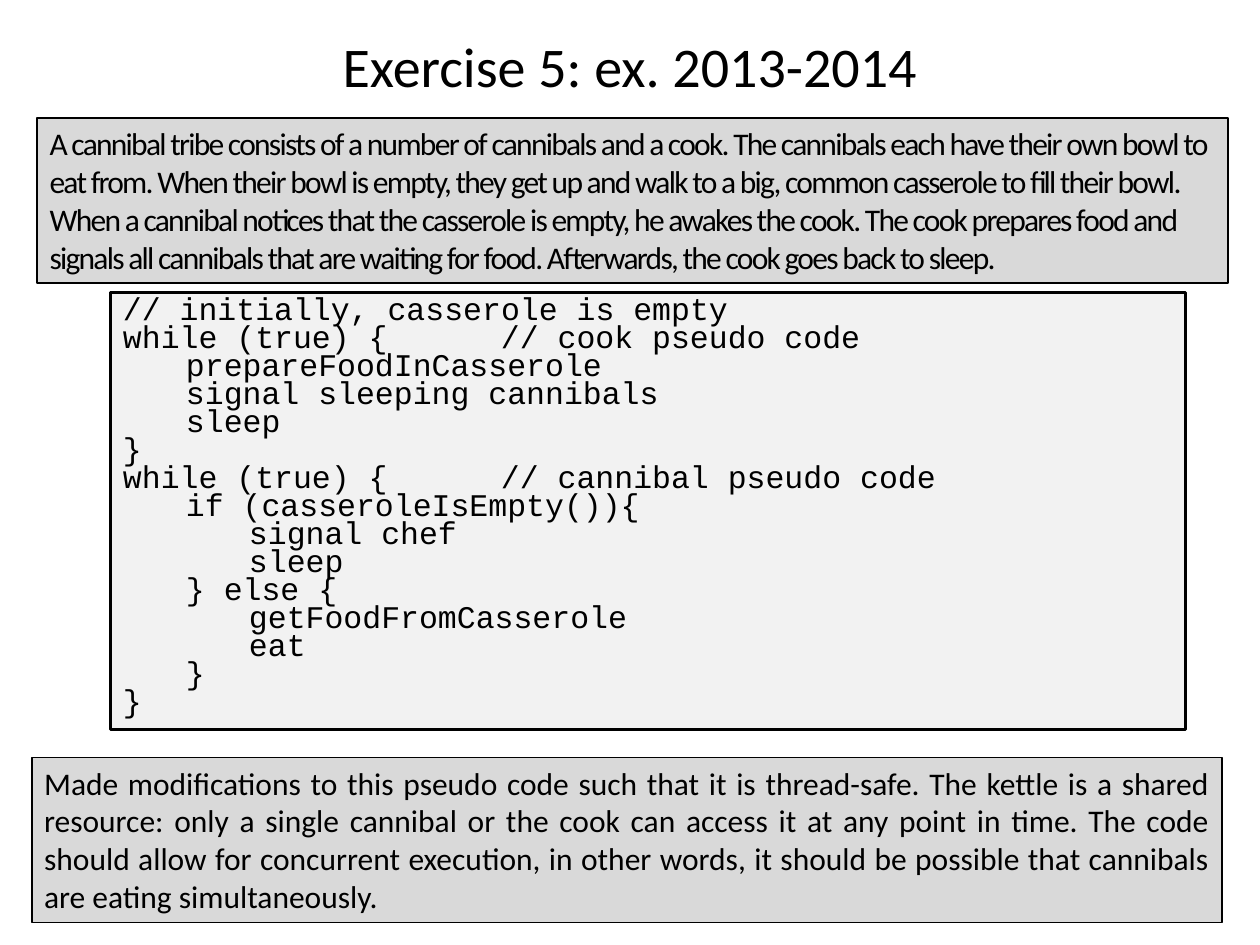
import pptx
import pptx.util
import pptx.dml.color
import pptx.enum.shapes
import pptx.enum.text

Cm, Pt = pptx.util.Cm, pptx.util.Pt
Align = pptx.enum.text.PP_ALIGN
Fit = pptx.enum.text.MSO_AUTO_SIZE

TITLE = "Exercise 5: ex. 2013-2014"
STORY = (
    "A cannibal tribe consists of a number of cannibals and a cook. "
    "The cannibals each have their own bowl to eat from. "
    "When their bowl is empty, they get up and walk to a big, common casserole to fill their bowl. "
    "When a cannibal notices that the casserole is empty, he awakes the cook. "
    "The cook prepares food and signals all cannibals that are waiting for food. "
    "Afterwards, the cook goes back to sleep."
)
CODE = [
    (0, "// initially, casserole is empty"),
    (0, "while (true) {\t\t// cook pseudo code"),
    (1, "prepareFoodInCasserole"),
    (1, "signal sleeping cannibals"),
    (1, "sleep"),
    (0, "}"),
    (0, "while (true) {\t\t// cannibal pseudo code"),
    (1, "if (casseroleIsEmpty()){"),
    (2, "signal chef"),
    (2, "sleep"),
    (1, "} else {"),
    (2, "getFoodFromCasserole"),
    (2, "eat"),
    (1, "}"),
    (0, "}"),
]
TASK = (
    "Made modifications to this pseudo code such that it is thread-safe. "
    "The kettle is a shared resource: only a single cannibal or the cook can access it at any point in time. "
    "The code should allow for concurrent execution, in other words, "
    "it should be possible that cannibals are eating simultaneously."
)
INK, GREY, PALE = "000000", "D9D9D9", "F2F2F2"


def color(code):
    return pptx.dml.color.RGBColor.from_string(code)


def write(frame, lines, align, size=18, font="Calibri", lead=None, track=None):
    frame.word_wrap = True
    for i, line in enumerate(lines):
        par = frame.add_paragraph() if i else frame.paragraphs[0]
        par.alignment = align
        if lead:
            par.line_spacing = Pt(lead)
        run = par.add_run()
        run.text = line
        run.font.size = Pt(size)
        run.font.name = font
        run.font.color.rgb = color(INK)
        if track:
            run.font._element.set("spc", str(track * 100))


def panel(spot, fill, edge, lines, align, **style):
    box = slide.shapes.add_shape(
        pptx.enum.shapes.MSO_SHAPE.RECTANGLE, *map(Cm, spot))
    box.shadow.inherit = False
    box.fill.solid()
    box.fill.fore_color.rgb = color(fill)
    box.line.color.rgb = color(INK)
    box.line.width = Pt(edge)
    frame = box.text_frame
    frame.vertical_anchor = pptx.enum.text.MSO_ANCHOR.TOP
    frame.auto_size = Fit.SHAPE_TO_FIT_TEXT
    write(frame, lines, align, **style)


deck = pptx.Presentation()
deck.slide_width, deck.slide_height = Cm(25.4), Cm(19.05)
slide = deck.slides.add_slide(deck.slide_layouts[6])

panel((0.75, 2.38, 24, 3.33), GREY, 1, [STORY], Align.LEFT, track=-1)

head = slide.shapes.add_textbox(Cm(1.27), Cm(0.43), Cm(22.86), Cm(1.78))
head.text_frame.vertical_anchor = pptx.enum.text.MSO_ANCHOR.MIDDLE
write(head.text_frame, [TITLE], Align.CENTER, size=32)

code = ["\t" * depth + line for depth, line in CODE]
panel((2.23, 5.9, 21.67, 8.81), PALE, 1.75, code, Align.LEFT,
      font="Courier New", lead=16)

panel((0.64, 15.27, 24, 3.33), GREY, 1, [TASK], Align.JUSTIFY)

deck.save("out.pptx")
